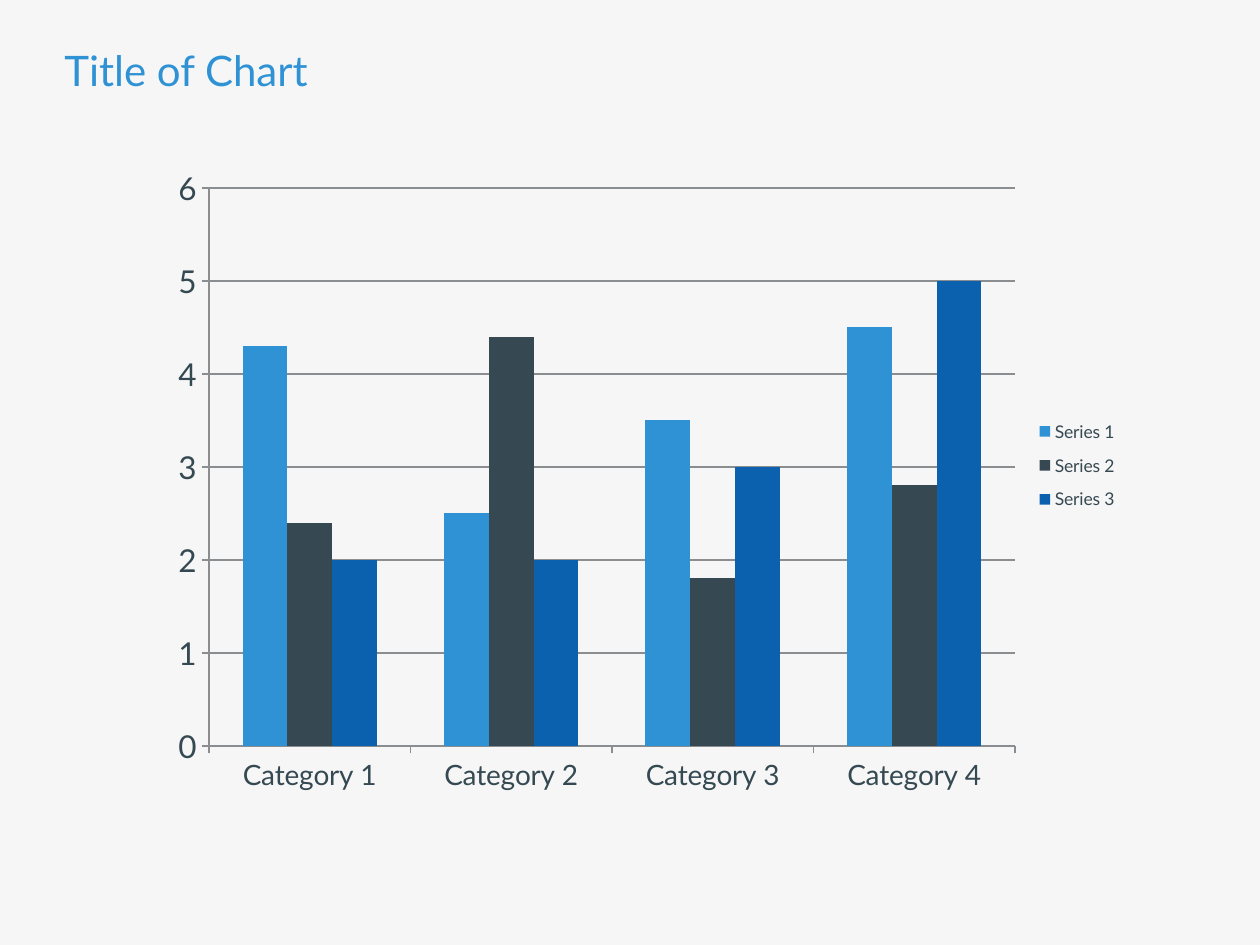
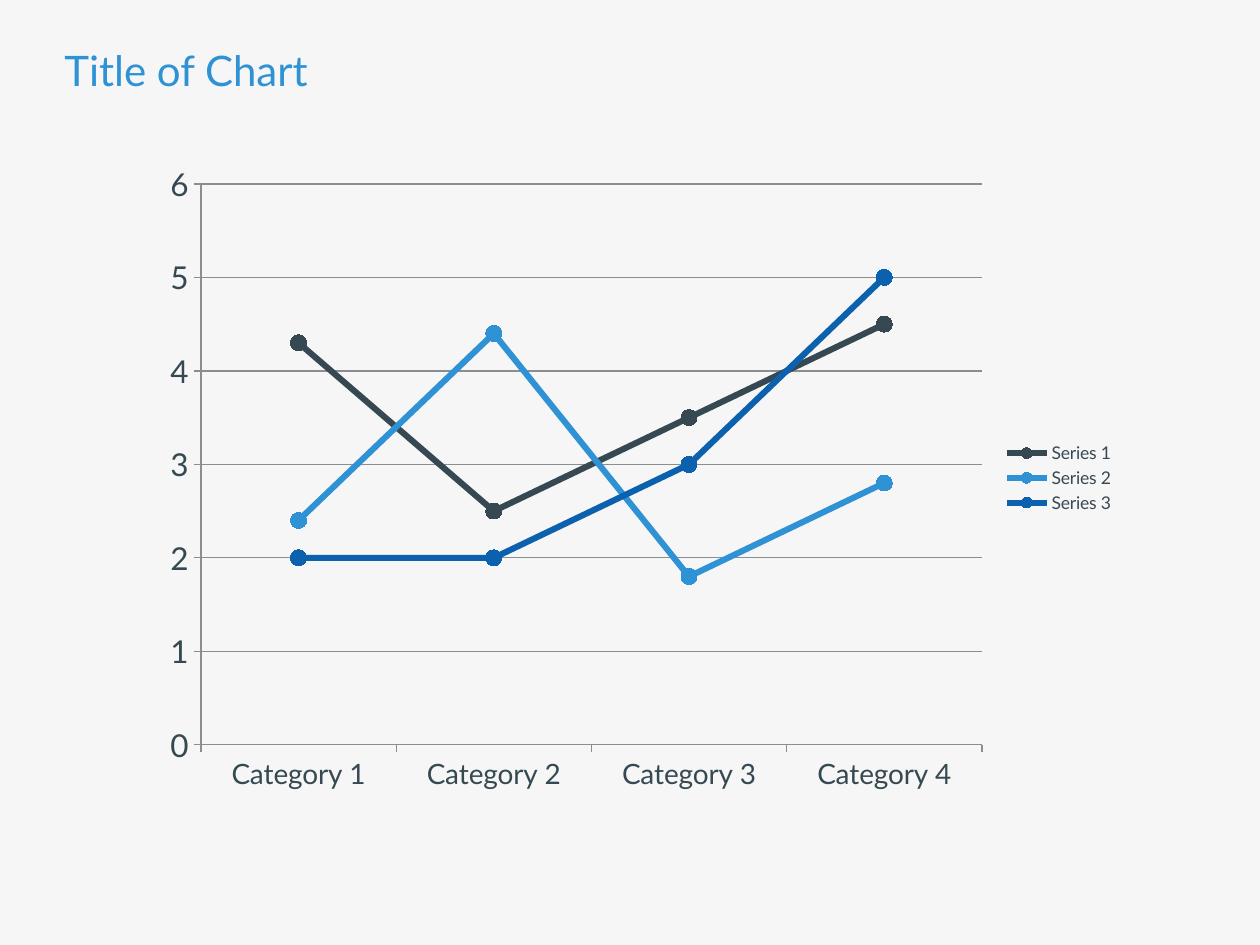
import lxml.etree
import pptx
import pptx.chart.data
import pptx.dml.color
import pptx.enum.chart
import pptx.oxml.ns
import pptx.util

PX = 914400 / 126
FONT = "Lato"
COLORS = {
    "background": "F6F6F6",
    "sky": "2F92D5",
    "slate": "364852",
    "navy": "0C61AF",
    "axis_text": "354952",
    "grid": "8A8E91",
}
TITLE_BOX = (52, 44, 876, 59)
CATEGORIES = [f"Category {number}" for number in range(1, 5)]
SERIES = {
    "Series 1": (4.3, 2.5, 3.5, 4.5),
    "Series 2": (2.4, 4.4, 1.8, 2.8),
    "Series 3": (2, 2, 3, 5),
}


def emu(box):
    return [round(length * PX) for length in box]


def rgb(name):
    return pptx.dml.color.RGBColor.from_string(COLORS[name])


def style_font(font, size, color):
    font.name = FONT
    font.size = pptx.util.Pt(size)
    font.bold = False
    font.color.rgb = rgb(color)


def style_line(line, color, width):
    line.color.rgb = rgb(color)
    line.width = pptx.util.Pt(width)


def add_base_slide(deck, title):
    """Blank slide with the shared background and title."""
    slide = deck.slides.add_slide(deck.slide_layouts[6])
    slide.background.fill.solid()
    slide.background.fill.fore_color.rgb = rgb("background")

    heading = slide.shapes.add_textbox(*emu(TITLE_BOX)).text_frame
    heading.word_wrap = True
    heading.text = title
    paragraph = heading.paragraphs[0]
    paragraph.line_spacing = 0.9
    paragraph.space_after = pptx.util.Pt(6)
    style_font(paragraph.runs[0].font, 24, "sky")
    return slide


def make_layout(area, box, inner=False):
    """Manual layout for an area given in px from the chart's corner."""
    qn = pptx.oxml.ns.qn
    layout = lxml.etree.Element(qn("c:layout"))
    manual = lxml.etree.SubElement(layout, qn("c:manualLayout"))
    fractions = [length / box[2 + i % 2] for i, length in enumerate(area)]
    settings = [("layoutTarget", "inner")] if inner else []
    settings += [("xMode", "edge"), ("yMode", "edge")]
    settings += [(key, f"{part:.4f}") for key, part in zip("xywh", fractions)]
    for key, value in settings:
        lxml.etree.SubElement(manual, qn(f"c:{key}")).set("val", value)
    return layout


def add_styled_chart(slide, kind, box, plot_area, legend_area):
    """Chart with the shared data, axes, gridlines and legend."""
    data = pptx.chart.data.CategoryChartData()
    data.categories = CATEGORIES
    for name, values in SERIES.items():
        data.add_series(name, values)
    chart = slide.shapes.add_chart(kind, *emu(box), data).chart
    chart.has_title = False
    style_font(chart.font, 18, "axis_text")

    # Axes
    for axis, size in ((chart.category_axis, 16), (chart.value_axis, 18)):
        style_font(axis.tick_labels.font, size, "axis_text")
        axis.major_tick_mark = pptx.enum.chart.XL_TICK_MARK.OUTSIDE
        axis.minor_tick_mark = pptx.enum.chart.XL_TICK_MARK.NONE
        style_line(axis.format.line, "grid", 0.75)
    scale = chart.value_axis
    scale.minimum_scale, scale.maximum_scale, scale.major_unit = 0, 6, 1
    scale.has_major_gridlines = True
    style_line(scale.major_gridlines.format.line, "grid", 0.75)

    # Legend
    chart.has_legend = True
    legend = chart.legend
    legend.position = pptx.enum.chart.XL_LEGEND_POSITION.RIGHT
    legend.include_in_layout = False
    style_font(legend.font, 10, "slate")

    # Placement of the plot and the legend
    space = chart.element
    for old in space.xpath("c:chart/c:plotArea/c:layout | c:chart/c:legend/c:layout"):
        old.getparent().remove(old)
    space.xpath("c:chart/c:plotArea")[0].insert(0, make_layout(plot_area, box, True))
    space.xpath("c:chart/c:legend/c:legendPos")[0].addnext(
        make_layout(legend_area, box))
    return chart


def build_column_slide(deck):
    slide = add_base_slide(deck, "Title of Chart")
    chart = add_styled_chart(
        slide, pptx.enum.chart.XL_CHART_TYPE.COLUMN_CLUSTERED,
        box=(159, 156, 973, 648),
        plot_area=(50, 32, 806, 558),
        legend_area=(872, 252, 92, 115))
    columns = chart.plots[0]
    columns.gap_width = 150
    columns.vary_by_categories = False
    for series, color in zip(columns.series, ("sky", "slate", "navy")):
        series.format.fill.solid()
        series.format.fill.fore_color.rgb = rgb(color)


def build_line_slide(deck):
    slide = add_base_slide(deck, "Title of Chart")
    chart = add_styled_chart(
        slide, pptx.enum.chart.XL_CHART_TYPE.LINE_MARKERS,
        box=(151, 152, 976, 650),
        plot_area=(50, 32, 781, 561),
        legend_area=(851, 287, 114, 78))
    lines = chart.plots[0]
    lines.vary_by_categories = False
    for series, color in zip(lines.series, ("slate", "sky", "navy")):
        series.smooth = False
        style_line(series.format.line, color, 3.5)
        marker = series.marker
        marker.style = pptx.enum.chart.XL_MARKER_STYLE.CIRCLE
        marker.size = 9
        marker.format.fill.solid()
        marker.format.fill.fore_color.rgb = rgb(color)
        style_line(marker.format.line, color, 0.75)


def main():
    deck = pptx.Presentation()
    deck.slide_width, deck.slide_height = emu((1260, 945))
    build_column_slide(deck)
    build_line_slide(deck)
    deck.save("out.pptx")


if __name__ == "__main__":
    main()
